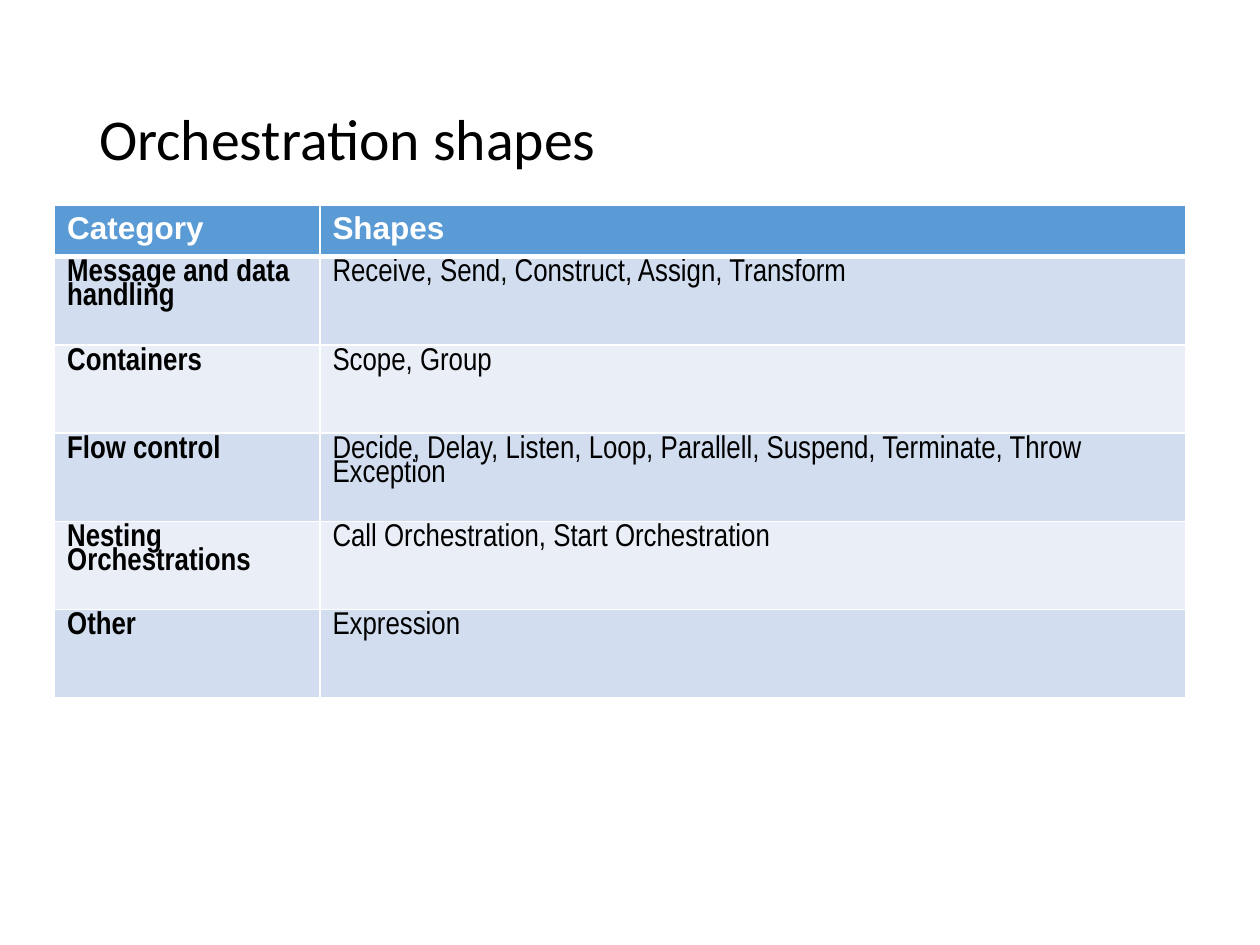
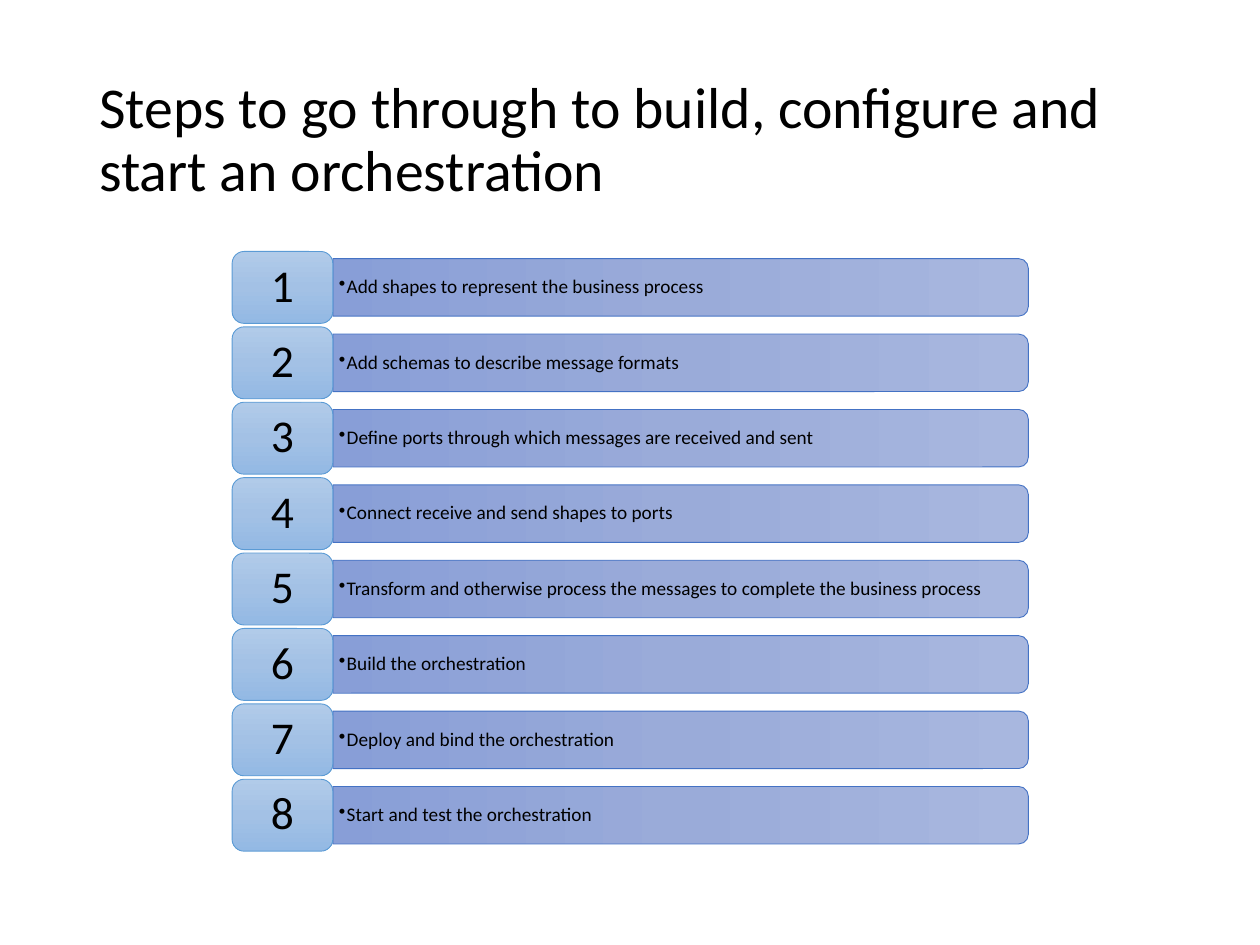
from lxml import etree
from pptx import Presentation
from pptx.dml.color import RGBColor
from pptx.enum import shapes, text
from pptx.oxml import ns
from pptx.util import Cm, Pt

# Content
HEADS = ["Orchestration shapes",
         "Steps to go through to build, configure and start an orchestration"]
ROWS = [
    ("Category", "Shapes"),
    ("Message and data handling", "Receive, Send, Construct, Assign, Transform"),
    ("Containers", "Scope, Group"),
    ("Flow control", "Decide, Delay, Listen, Loop, Parallell, Suspend, "
                     "Terminate, Throw Exception"),
    ("Nesting Orchestrations", "Call Orchestration, Start Orchestration"),
    ("Other", "Expression"),
]
STEPS = [
    "Add shapes to represent the business process",
    "Add schemas to describe message formats",
    "Define ports through which messages are received and sent",
    "Connect receive and send shapes to ports",
    "Transform and otherwise process the messages to complete the business process",
    "Build the orchestration",
    "Deploy and bind the orchestration",
    "Start and test the orchestration",
]

# Colours
BLACK = RGBColor(0x00, 0x00, 0x00)
WHITE = RGBColor(0xFF, 0xFF, 0xFF)
BLUE = RGBColor(0x5B, 0x9B, 0xD5)
NAVY = RGBColor(0x44, 0x72, 0xC4)
BANDS = [RGBColor(0xEA, 0xEF, 0xF7), RGBColor(0xD2, 0xDE, 0xEF)]
BAR_FADE = [RGBColor(0xA8, 0xB7, 0xDF), RGBColor(0x9A, 0xAB, 0xD9),
            RGBColor(0x88, 0x9E, 0xD7)]
BOX_FADE = [RGBColor(0xB1, 0xCB, 0xE9), RGBColor(0xA3, 0xC1, 0xE5),
            RGBColor(0x93, 0xB9, 0xE4)]

# Text formats
TITLE = {"name": "Calibri", "size": Pt(33)}
NUMBER = {"name": "Calibri", "size": Pt(26)}
STEP = {"name": "Calibri", "size": Pt(11)}
HEADER = {"name": "Arial", "size": Pt(18), "bold": True}
LABEL = {"name": "Arial Narrow", "size": Pt(18), "bold": True}
BODY = {"name": "Arial Narrow", "size": Pt(18), "bold": False}

# Layout, in centimetres
TITLE_AT = (1.75, 1.01, 21.91, 3.68)
TABLE_AT = (1.1, 4.13)
COLS = (5.35, 17.46)
HEAD_H, ROW_H = 1.04, 1.78
LEFT, TOP, PITCH = 4.68, 5.07, 1.52
BOX_W, BOX_H = 2.03, 1.45
BAR_W, BAR_H = 14.02, 1.16


def put(frame, words, font, color=BLACK, lead=0.9):
    """Write one formatted paragraph into a text frame and return it."""
    para = frame.paragraphs[0]
    para.line_spacing = lead
    run = para.add_run()
    run.text = words
    for key, value in font.items():
        setattr(run.font, key, value)
    run.font.color.rgb = color
    return para


def fit(frame, side, edge):
    """Wrap a frame, centre it vertically and set its insets."""
    form = {"word_wrap": True, "vertical_anchor": text.MSO_ANCHOR.MIDDLE,
            "margin_left": Cm(side), "margin_right": Cm(side),
            "margin_top": Cm(edge), "margin_bottom": Cm(edge)}
    for key, value in form.items():
        setattr(frame, key, value)
    return frame


def add_page(deck, head):
    """Add a blank slide with its title."""
    page = deck.slides.add_slide(deck.slide_layouts[6])
    box = page.shapes.add_textbox(*map(Cm, TITLE_AT))
    put(fit(box.text_frame, 0.25, 0.13), head, TITLE)
    return page


def add_edge(cell, side, width):
    """Draw one white border of a table cell."""
    props = cell._tc.get_or_add_tcPr()
    line = etree.SubElement(props, ns.qn("a:ln" + side), w=str(Pt(width)))
    fill = etree.SubElement(line, ns.qn("a:solidFill"))
    etree.SubElement(fill, ns.qn("a:srgbClr"), val=str(WHITE))


def add_grid(page):
    """Add the table of categories and shapes."""
    high = HEAD_H + ROW_H * (len(ROWS) - 1)
    grid = page.shapes.add_table(len(ROWS), len(COLS), *map(
        Cm, (*TABLE_AT, sum(COLS), high))).table
    for col, width in zip(grid.columns, COLS):
        col.width = Cm(width)
    for i, row in enumerate(ROWS):
        grid.rows[i].height = Cm(ROW_H if i else HEAD_H)
        for j, words in enumerate(row):
            cell = grid.cell(i, j)
            for side in "LRTB":
                thick = (side, i) in (("B", 0), ("T", 1))
                add_edge(cell, side, 3 if thick else 1)
            cell.fill.solid()
            cell.fill.fore_color.rgb = BANDS[i % 2] if i else BLUE
            if i:
                put(cell.text_frame, words, BODY if j else LABEL, lead=0.8)
            else:
                put(cell.text_frame, words, HEADER, WHITE, 1.0)


def add_block(group, kind, spot, fade, edge):
    """Add a preset shape with a three-stop downward gradient."""
    block = group.shapes.add_shape(kind, *map(Cm, spot))
    block.shadow.inherit = False
    block.fill.gradient()
    block.fill.gradient_angle = 270
    stops = block._element.spPr.find(".//" + ns.qn("a:gsLst"))
    stops.clear()
    for i, color in enumerate(fade):
        stop = etree.SubElement(stops, ns.qn("a:gs"), pos=str(i * 50000))
        etree.SubElement(stop, ns.qn("a:srgbClr"), val=str(color))
    block.line.color.rgb = edge
    block.line.width = Pt(0.5)
    return block


def add_step(group, i, words):
    """Add one numbered box with its bar and bulleted text."""
    top = TOP + i * PITCH
    mid = top + BOX_H / 2
    start = LEFT + BOX_W
    spot = (start + (BAR_W - BAR_H) / 2, mid - BAR_W / 2, BAR_H, BAR_W)
    bar = add_block(group, shapes.MSO_SHAPE.ROUND_2_SAME_RECTANGLE,
                    spot, BAR_FADE, NAVY)
    bar.rotation = 90

    note = group.shapes.add_textbox(*map(
        Cm, (start, mid - BAR_H / 2, BAR_W, BAR_H)))
    para = put(fit(note.text_frame, 0.12, 0.05), words, STEP)
    props = para._p.get_or_add_pPr()
    props.set("marL", str(Cm(0.16)))
    props.set("indent", str(-Cm(0.16)))
    etree.SubElement(props, ns.qn("a:buChar"), char="\u2022")

    box = add_block(group, shapes.MSO_SHAPE.ROUNDED_RECTANGLE,
                    (LEFT, top, BOX_W, BOX_H), BOX_FADE, BLUE)
    para = put(fit(box.text_frame, 0.28, 0.13), str(i + 1), NUMBER)
    para.alignment = text.PP_ALIGN.CENTER


def main():
    """Build and save the deck."""
    deck = Presentation()
    deck.slide_width, deck.slide_height = Cm(25.4), Cm(19.05)
    first, second = [add_page(deck, head) for head in HEADS]
    add_grid(first)
    group = second.shapes.add_group_shape()
    for i, words in enumerate(STEPS):
        add_step(group, i, words)
    deck.save("out.pptx")


main()
